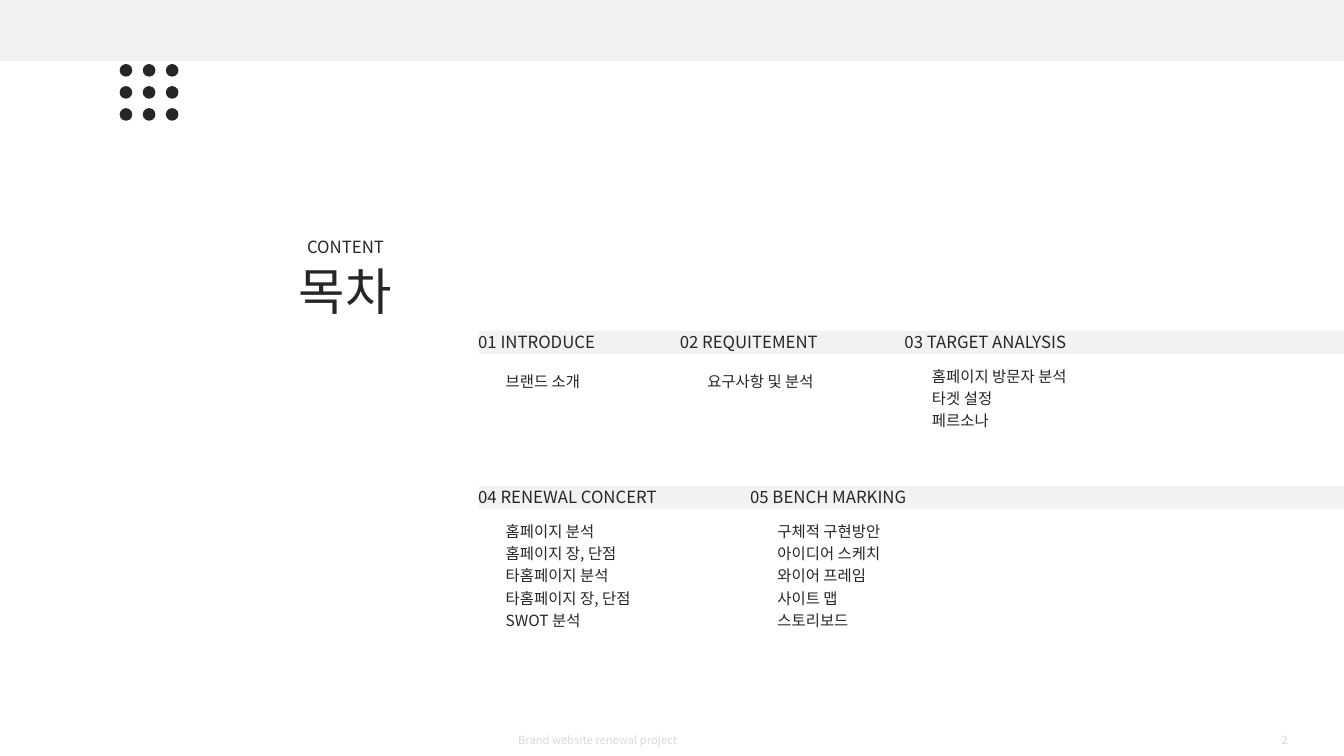
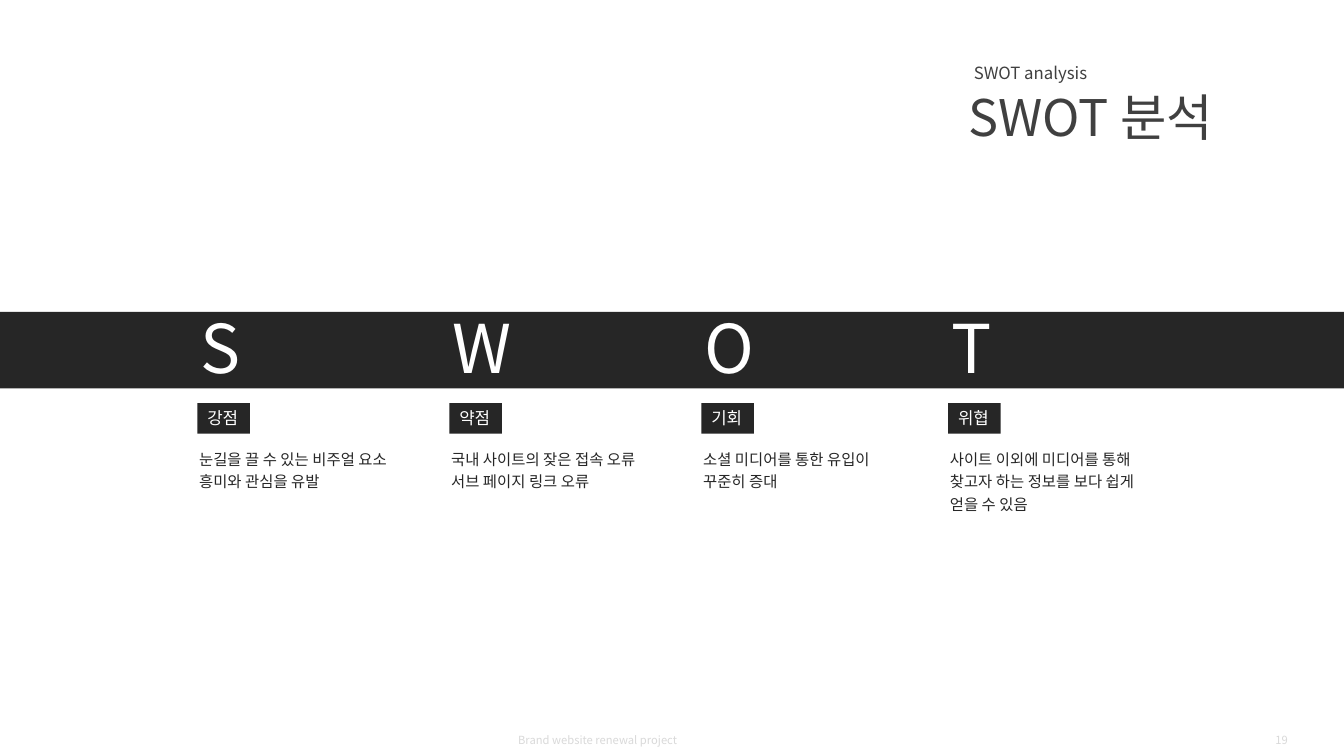
from dataclasses import dataclass
from itertools import product, zip_longest

from lxml import etree
from pptx import Presentation
from pptx.dml.color import RGBColor
from pptx.enum.shapes import MSO_SHAPE as Preset
from pptx.enum.text import MSO_ANCHOR as Anchor, MSO_AUTO_SIZE as AutoSize, PP_ALIGN as Align
from pptx.oxml.ns import qn
from pptx.shapes.base import BaseShape
from pptx.slide import Slide
from pptx.text.text import TextFrame
from pptx.util import Emu, Length, Pt

PX = 9525
PAGE_W, PAGE_H = 1280, 720
COMPARISON_LAYOUT = 4  # a title and four bodies
FONT = "Noto Sans CJK KR"
INK = RGBColor(0x26, 0x26, 0x26)
GREY = RGBColor(0x40, 0x40, 0x40)
PALE = RGBColor(0xF2, 0xF2, 0xF2)
FAINT = RGBColor(0xD9, 0xD9, 0xD9)
WHITE = RGBColor(0xFF, 0xFF, 0xFF)


@dataclass(frozen=True)
class Rect:
    left: int
    top: int
    width: int
    height: int

    def emu(self) -> tuple[Length, Length, Length, Length]:
        return (Emu(self.left * PX), Emu(self.top * PX),
                Emu(self.width * PX), Emu(self.height * PX))


@dataclass(frozen=True)
class TextStyle:
    size: int
    color: RGBColor = INK
    spacing: float | Length = 1.0
    align: Align = Align.LEFT
    anchor: Anchor = Anchor.TOP
    wrap: bool = True


@dataclass(frozen=True)
class Topic:
    left: int
    top: int
    heading: str
    items: tuple[str, ...]


@dataclass(frozen=True)
class Factor:
    left: int
    letter: str
    label: str
    notes: tuple[str, ...]


CAPTION_SIZE, TITLE_SIZE, LIST_SIZE = 12, 36, 11
HEADING = TextStyle(CAPTION_SIZE)
LETTER = TextStyle(48, WHITE)
LABEL = TextStyle(CAPTION_SIZE, WHITE, wrap=False)
NOTES = TextStyle(LIST_SIZE, spacing=Pt(16))

UPPER_ROW, LOWER_ROW = 311, 459
TOPICS = (
    Topic(446, UPPER_ROW, "01 INTRODUCE", ("브랜드 소개",)),
    Topic(638, UPPER_ROW, "02 REQUITEMENT", ("요구사항 및 분석",)),
    Topic(852, UPPER_ROW, "03 TARGET ANALYSIS",
          ("홈페이지 방문자 분석", "타겟 설정", "페르소나")),
    Topic(446, LOWER_ROW, "04 RENEWAL CONCERT",
          ("홈페이지 분석", "홈페이지 장, 단점", "타홈페이지 분석",
           "타홈페이지 장, 단점", "SWOT 분석")),
    Topic(705, LOWER_ROW, "05 BENCH MARKING",
          ("구체적 구현방안", "아이디어 스케치", "와이어 프레임",
           "사이트 맵", "스토리보드")),
)
FACTORS = (
    Factor(188, "S", "강점", ("눈길을 끌 수 있는 비주얼 요소", "흥미와 관심을 유발")),
    Factor(428, "W", "약점", ("국내 사이트의 잦은 접속 오류", "서브 페이지 링크 오류")),
    Factor(668, "O", "기회", ("소셜 미디어를 통한 유입이", "꾸준히 증대")),
    Factor(903, "T", "위협", ("사이트 이외에 미디어를 통해",
                            "찾고자 하는 정보를 보다 쉽게 얻을 수 있음")),
)


def write(frame: TextFrame, lines: tuple[str, ...], style: TextStyle) -> None:
    frame.auto_size = AutoSize.NONE
    frame.word_wrap = style.wrap
    frame.vertical_anchor = style.anchor
    for index, line in enumerate(lines):
        para = frame.add_paragraph() if index else frame.paragraphs[0]
        properties = para._p.get_or_add_pPr()
        properties.set("marL", "0")
        properties.set("indent", "0")
        etree.SubElement(properties, qn("a:buNone"))
        para.alignment = style.align
        para.line_spacing = style.spacing
        para.space_before = Pt(0)
        span = para.add_run()
        span.text = line
        span.font.size = Pt(style.size)
        span.font.bold = False
        span.font.color.rgb = style.color
        span.font.name = FONT
        etree.SubElement(span._r.get_or_add_rPr(), qn("a:ea"), typeface=FONT)


def add_text(page: Slide, rect: Rect, lines: tuple[str, ...], style: TextStyle) -> None:
    write(page.shapes.add_textbox(*rect.emu()).text_frame, lines, style)


def fill_placeholder(box: BaseShape, rect: Rect, lines: tuple[str, ...],
                     style: TextStyle) -> None:
    box.left, box.top, box.width, box.height = rect.emu()
    write(box.text_frame, lines, style)


def add_block(page: Slide, rect: Rect, color: RGBColor,
              preset: Preset = Preset.RECTANGLE) -> BaseShape:
    block = page.shapes.add_shape(preset, *rect.emu())
    block.shadow.inherit = False
    block.fill.solid()
    block.fill.fore_color.rgb = color
    block.line.fill.background()
    return block


def list_bodies(page: Slide) -> list[BaseShape]:
    return [box for box in page.placeholders if box.placeholder_format.idx in range(1, 5)]


def add_page(deck: Presentation, title: str, title_rect: Rect, caption: str,
             caption_left: int, color: RGBColor, number: int) -> Slide:
    """Add a page with its title, the caption above it and the footer."""
    page = deck.slides.add_slide(deck.slide_layouts[COMPARISON_LAYOUT])
    fill_placeholder(page.shapes.title, title_rect, (title,), TextStyle(TITLE_SIZE, color))
    add_text(page, Rect(caption_left, title_rect.top - 22, 233, 29), (caption,),
             TextStyle(CAPTION_SIZE, color))
    for left, width, text, align in (
        (484, 312, "Brand website renewal project", Align.JUSTIFY),
        (948, 288, str(number), Align.RIGHT),
    ):
        add_text(page, Rect(left, 686, width, 38), (text,),
                 TextStyle(8, FAINT, align=align, anchor=Anchor.MIDDLE))
    return page


def build_contents(deck: Presentation) -> None:
    page = add_page(deck, "목차", Rect(275, 243, 116, 68), "CONTENT", 283, INK, 2)
    add_block(page, Rect(0, 0, PAGE_W, 58), PALE)
    for top in (UPPER_ROW, LOWER_ROW):
        add_block(page, Rect(456, top + 4, PAGE_W - 456, 22), PALE)
    for row, column in product(range(3), repeat=2):
        add_block(page, Rect(114 + 22 * column, 61 + 21 * row, 12, 12), INK, Preset.OVAL)
    for topic, body in zip_longest(TOPICS, list_bodies(page)):
        add_text(page, Rect(topic.left, topic.top, 210, 29), (topic.heading,), HEADING)
        rect = Rect(topic.left + 26, topic.top + 30, 158, 16 + 20 * len(topic.items))
        style = TextStyle(LIST_SIZE, spacing=1.2 if len(topic.items) > 1 else 1.5)
        if body is None:
            add_text(page, rect, topic.items, style)
        else:
            fill_placeholder(body, rect, topic.items, style)


def build_swot(deck: Presentation) -> None:
    page = add_page(deck, "SWOT 분석", Rect(913, 77, 280, 68), "SWOT analysis", 918, GREY, 19)
    add_block(page, Rect(0, 297, PAGE_W, 73), INK)
    for factor, body in zip(FACTORS, list_bodies(page)):
        add_text(page, Rect(factor.left - 6, 287, 96, 87), (factor.letter,), LETTER)
        label = add_block(page, Rect(factor.left, 384, 50, 29), INK)
        write(label.text_frame, (factor.label,), LABEL)
        fill_placeholder(body, Rect(factor.left - 8, 420, 204, 73), factor.notes, NOTES)


def main() -> None:
    deck = Presentation()
    deck.slide_width, deck.slide_height = Emu(PAGE_W * PX), Emu(PAGE_H * PX)
    build_contents(deck)
    build_swot(deck)
    deck.save("out.pptx")


if __name__ == "__main__":
    main()
